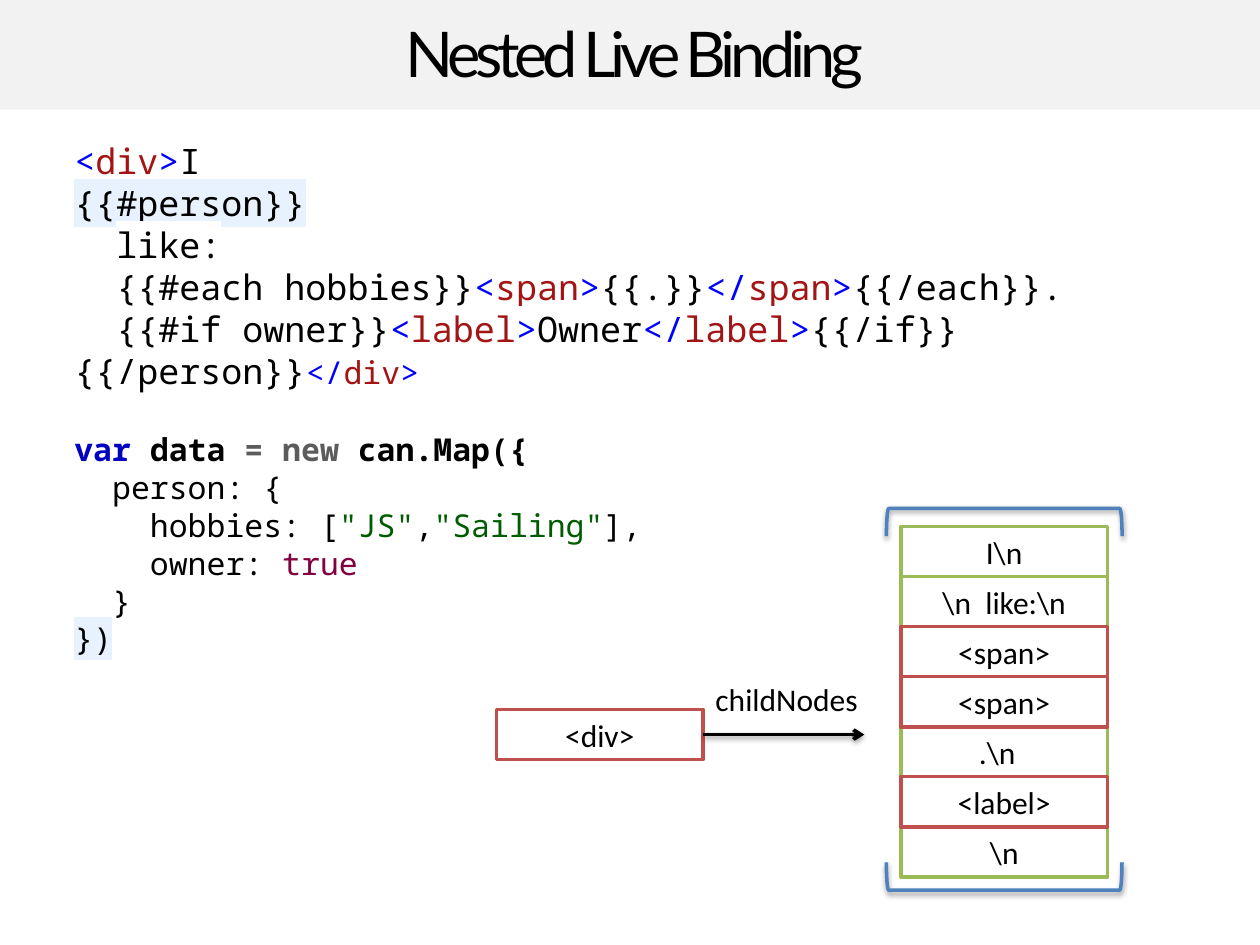
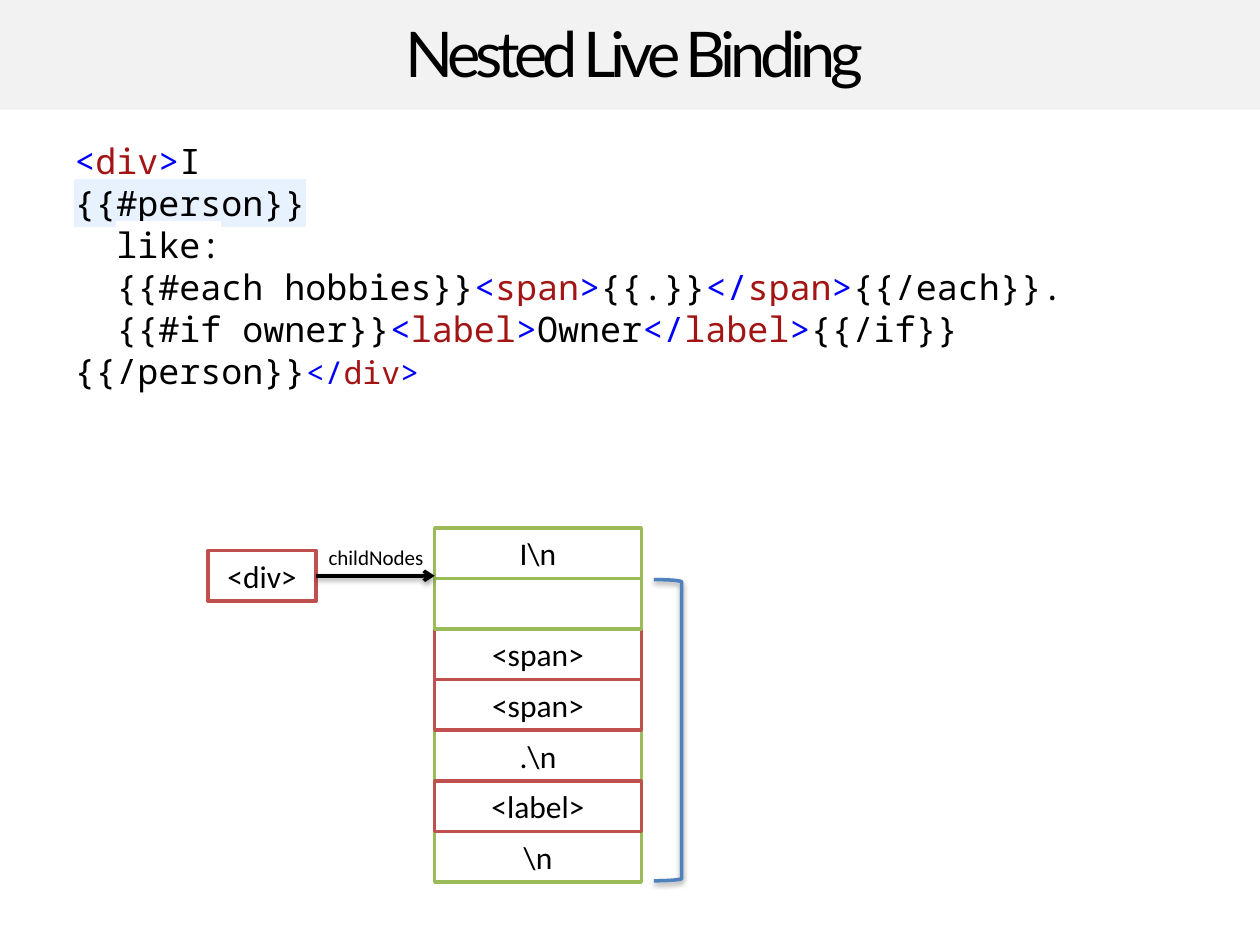
from lxml import etree
from pptx import Presentation
from pptx import util as u
from pptx.dml.color import RGBColor
from pptx.enum import shapes, text
from pptx.oxml import ns

BLACK, WHITE, BAND = "000000", "FFFFFF", "F2F2F2"
TEXT_NODE, ELEMENT_NODE, BRACKET = "9BBB59", "C0504D", "4F81BD"
BRACE, TAG, KEYWORD, OPERATOR = "0000FF", "A31515", "0000C0", "5C5C5C"
STRING, LITERAL, SELECTED = "005C00", "800040", "E8F2FE"
BODY_FONT, TITLE_FONT, CODE_FONT = "Calibri", "Lato", "Noto Sans Mono"
CELL_WIDTH, CELL_HEIGHT = 1.64, 0.4


def color(hex_string):
    return RGBColor.from_string(hex_string)


def piece(words, hex_color=BLACK, highlight=WHITE, **formats):
    return words, hex_color, highlight, formats


def tag(name, opening="<", **formats):
    return [piece(opening, BRACE, **formats), piece(name, TAG, **formats),
            piece(">", BRACE, **formats)]


def element(name, content):
    return [*tag(name), piece(content), *tag(name, "</")]


TEMPLATE = [
    (0, [*tag("div"), piece("I")]),
    (0, [piece("{{#person}}", highlight=SELECTED)]),
    (2, [piece("like:")]),
    (2, [piece("{{#each hobbies}}"), *element("span", "{{.}}"), piece("{{/each}}.")]),
    (2, [piece("{{#if owner}}"), *element("label", "Owner"), piece("{{/if}}")]),
    (0, [piece("{{/person}}"), *tag("div", "</", size=u.Pt(18))]),
]
DATA = [
    (0, [piece("var ", KEYWORD, bold=True), piece("data ", bold=True),
         piece("= new ", OPERATOR, bold=True), piece("can.Map({", bold=True)]),
    (2, [piece("person: {")]),
    (4, [piece("hobbies: ["), piece('"JS"', STRING), piece(","),
         piece('"Sailing"', STRING), piece("],")]),
    (4, [piece("owner: "), piece("true", LITERAL)]),
    (2, [piece("}")]),
    (0, [piece("})", highlight=SELECTED)]),
]


def add_run(paragraph, words, hex_color=BLACK, highlight=None, **formats):
    run = paragraph.add_run()
    run.text = words
    run.font.color.rgb = color(hex_color)
    for name, value in formats.items():
        setattr(run.font, name, value)
    if highlight:
        mark = etree.Element(ns.qn("a:highlight"))
        etree.SubElement(mark, ns.qn("a:srgbClr"), val=highlight)
        run._r.rPr.find(ns.qn("a:solidFill")).addnext(mark)
    return run


def add_frame(slide, left, top, width, height, **formats):
    box = slide.shapes.add_textbox(*map(u.Inches, (left, top, width, height)))
    for name, value in formats.items():
        setattr(box.text_frame, name, value)
    return box.text_frame


def add_shape(slide, kind, left, top, width, height, fill=None, line=None):
    shape = slide.shapes.add_shape(kind, *map(u.Inches, (left, top, width, height)))
    shape.shadow.inherit = False
    if fill:
        shape.fill.solid()
        shape.fill.fore_color.rgb = color(fill)
    else:
        shape.fill.background()
    if line:
        shape.line.color.rgb = color(line)
        shape.line.width = u.Pt(2)
    else:
        shape.line.fill.background()
    return shape


def add_shadow(shape):
    properties = shape._element.spPr
    effects = properties.find(ns.qn("a:effectLst"))
    if effects is None:
        effects = etree.SubElement(properties, ns.qn("a:effectLst"))
    shadow = etree.SubElement(effects, ns.qn("a:outerShdw"), blurRad="40000",
                              dist="20000", dir="5400000", rotWithShape="0")
    tint = etree.SubElement(shadow, ns.qn("a:srgbClr"), val=BLACK)
    etree.SubElement(tint, ns.qn("a:alpha"), val="38000")


def add_title(slide, words):
    add_shape(slide, shapes.MSO_SHAPE.RECTANGLE, 0, 0, 10, 0.87, BAND)
    frame = add_frame(slide, 0.46, 0.07, 9.15, 0.83, word_wrap=False,
                      margin_top=u.Inches(0.04), margin_bottom=u.Inches(0.04))
    paragraph = frame.paragraphs[0]
    paragraph.alignment = text.PP_ALIGN.CENTER
    paragraph.line_spacing = 1.01
    run = add_run(paragraph, words, name=TITLE_FONT, size=u.Pt(36))
    run._r.rPr.set("spc", "-300")


def add_code(slide, *blocks):
    frame = add_frame(slide, 0.5, 1.07, 8.57, 2.35, word_wrap=True,
                      margin_left=u.Inches(0.09), margin_right=u.Inches(0.09),
                      margin_top=u.Inches(0.04), margin_bottom=u.Inches(0.04))
    paragraph = None
    for size, lines in blocks:
        for number, (indent, pieces) in enumerate(lines):
            starts_later_block = paragraph is not None and number == 0
            paragraph = frame.add_paragraph() if paragraph is not None else frame.paragraphs[0]
            if starts_later_block:
                paragraph.space_before = u.Pt(22)
            paragraph._p.get_or_add_pPr().set("marL", str(u.Pt(0.6 * size * indent)))
            for words, hex_color, highlight, formats in pieces:
                settings = {"name": CODE_FONT, "size": u.Pt(size), **formats}
                add_run(paragraph, words, hex_color, highlight, **settings)


def add_node(slide, words, left, top, line, width=CELL_WIDTH, right_inset=0.1):
    node = add_shape(slide, shapes.MSO_SHAPE.RECTANGLE, left, top, width,
                     CELL_HEIGHT, WHITE, line)
    if words:
        frame = node.text_frame
        frame.vertical_anchor = text.MSO_ANCHOR.MIDDLE
        frame.margin_right = u.Inches(right_inset)
        paragraph = frame.paragraphs[0]
        paragraph.alignment = text.PP_ALIGN.CENTER
        add_run(paragraph, words, name=BODY_FONT, size=u.Pt(18))
    return node


def add_child_nodes(slide, left, first_top, last_top, second, dot_inset=0.1):
    labels = ["I\\n", second, "<span>", "<span>", ".\\n", "<label>", "\\n"]
    pitch = (last_top - first_top) / (len(labels) - 1)
    nodes = [(label, first_top + row * pitch) for row, label in enumerate(labels)]
    for label, top in sorted(nodes, key=lambda node: (not node[0], node[0].startswith("<"))):
        line = ELEMENT_NODE if label.startswith("<") else TEXT_NODE
        inset = dot_inset if label.startswith(".") else 0.1
        add_node(slide, label, left, top, line, right_inset=inset)


def add_bracket(slide, left, top, height, rotation):
    bracket = add_shape(slide, shapes.MSO_SHAPE.LEFT_BRACKET, left, top, 0.22,
                        height, line=BRACKET)
    bracket.rotation = rotation
    add_shadow(bracket)


def add_arrow(slide, source, end_x):
    middle = source.top + source.height // 2
    arrow = slide.shapes.add_connector(shapes.MSO_CONNECTOR.STRAIGHT,
                                       source.left + source.width, middle,
                                       u.Inches(end_x), middle)
    arrow.begin_connect(source, 3)
    arrow.line.color.rgb = color(BLACK)
    arrow.line.width = u.Pt(2)
    etree.SubElement(arrow.line._get_or_add_ln(), ns.qn("a:tailEnd"), type="arrow")
    add_shadow(arrow)


def add_parent(slide, left, top, width, arrow_end, label_box, label_size):
    parent = add_node(slide, "<div>", left, top, ELEMENT_NODE, width)
    add_arrow(slide, parent, arrow_end)
    frame = add_frame(slide, *label_box, word_wrap=False,
                      auto_size=text.MSO_AUTO_SIZE.SHAPE_TO_FIT_TEXT)
    add_run(frame.paragraphs[0], "childNodes", name=BODY_FONT, size=u.Pt(label_size))


def add_slide(presentation, *code_blocks):
    slide = presentation.slides.add_slide(presentation.slide_layouts[6])
    add_code(slide, *code_blocks)
    add_title(slide, "Nested Live Binding")
    return slide


def main():
    presentation = Presentation()
    presentation.slide_width, presentation.slide_height = u.Inches(10), u.Inches(7.5)

    slide = add_slide(presentation, (20, TEMPLATE), (18, DATA))
    add_child_nodes(slide, 7.15, 4.18, 6.56, "\\n  like:\\n", dot_inset=0.21)
    add_bracket(slide, 7.86, 3.21, 1.87, 90)
    add_bracket(slide, 7.86, 6.02, 1.87, 270)
    add_parent(slide, 3.94, 5.63, CELL_WIDTH, 6.86, (5.58, 5.35, 1.34, 0.4), 18)

    slide = add_slide(presentation, (20, TEMPLATE))
    add_child_nodes(slide, 3.45, 4.19, 6.6, "")
    add_parent(slide, 1.65, 4.37, 0.86, 3.45, (2.51, 4.27, 0.97, 0.3), 12)
    add_bracket(slide, 5.19, 4.6, 2.39, 180)

    presentation.save("out.pptx")


if __name__ == "__main__":
    main()
